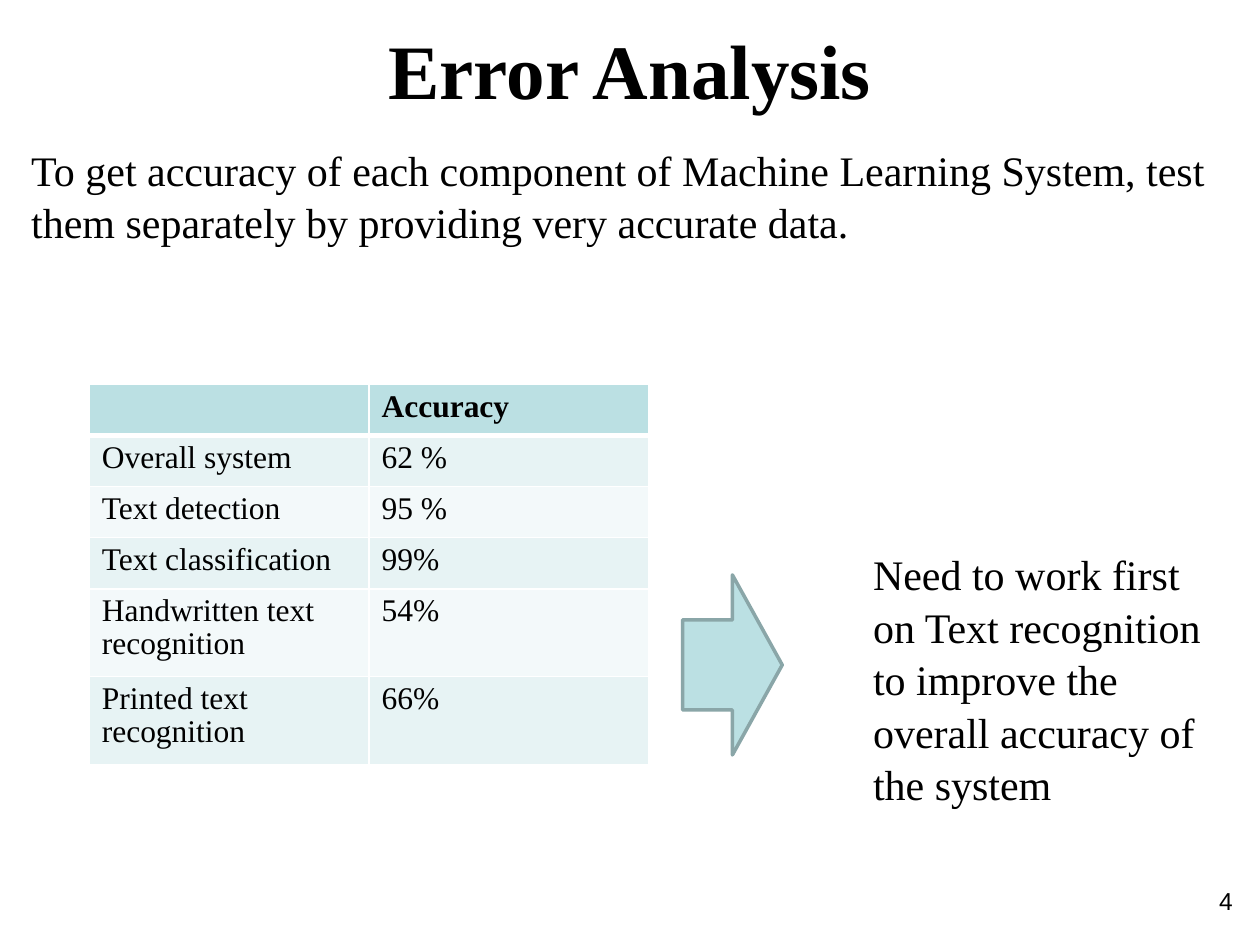
from dataclasses import dataclass

from lxml import etree
from pptx import Presentation
from pptx.dml.color import RGBColor
from pptx.enum.shapes import MSO_SHAPE
from pptx.enum.text import MSO_ANCHOR, MSO_AUTO_SIZE, PP_ALIGN
from pptx.oxml.ns import qn
from pptx.util import Cm, Pt

LEFT, CENTER, RIGHT = PP_ALIGN.LEFT, PP_ALIGN.CENTER, PP_ALIGN.RIGHT
TOP = MSO_ANCHOR.TOP
NO_AUTOFIT = MSO_AUTO_SIZE.NONE
RIGHT_ARROW = MSO_SHAPE.RIGHT_ARROW
TITLE_ONLY_LAYOUT = 5


@dataclass(frozen=True)
class Theme:
    serif: str = "Times New Roman"
    sans: str = "Arial"
    text: str = "000000"
    accent: str = "BBE0E3"
    accent_line: str = "8AA6A8"
    bands: tuple = ("E7F3F4", "F3F9FA")
    border: str = "FFFFFF"
    title_size: int = 44
    body_size: int = 24
    table_size: int = 18
    number_size: int = 14


THEME = Theme()

ACCURACY_ROWS = [
    ("", "Accuracy"),
    ("Overall system", "62 %"),
    ("Text detection", "95 %"),
    ("Text classification", "99%"),
    ("Handwritten text recognition", "54%"),
    ("Printed text recognition", "66%"),
]
ROW_HEIGHTS = [1.03] * 4 + [1.77] * 2


def set_attributes(target, values):
    for name, value in values.items():
        setattr(target, name, value)


def write_text(text_frame, text, size, font=THEME.serif, bold=False, **paragraph_format):
    """Fill a text frame with one formatted paragraph."""
    paragraph = text_frame.paragraphs[0]
    paragraph.text = text
    set_attributes(paragraph, {"alignment": LEFT, **paragraph_format})
    set_attributes(paragraph.font, {"name": font, "size": Pt(size), "bold": bold})
    paragraph.font.color.rgb = RGBColor.from_string(THEME.text)


def place(shape, box):
    set_attributes(shape, dict(zip(("left", "top", "width", "height"), map(Cm, box))))


def add_title(slide, box, text):
    title = slide.shapes.title
    place(title, box)
    set_attributes(title.text_frame, {
        "word_wrap": True, "auto_size": NO_AUTOFIT, "vertical_anchor": TOP})
    write_text(title.text_frame, text, THEME.title_size, bold=True,
               alignment=CENTER, line_spacing=1.04)


def add_text(slide, box, text, size=THEME.body_size, **text_format):
    text_box = slide.shapes.add_textbox(*map(Cm, box))
    set_attributes(text_box.text_frame, {"word_wrap": True, "vertical_anchor": TOP})
    write_text(text_box.text_frame, text, size, **text_format)


def set_borders(cell, widths):
    """Draw the cell's borders; they must come before its fill."""
    properties = cell._tc.get_or_add_tcPr()
    for index, (side, width) in enumerate(widths.items()):
        line = etree.Element(qn(f"a:ln{side}"), w=str(Pt(width)))
        fill = etree.SubElement(line, qn("a:solidFill"))
        etree.SubElement(fill, qn("a:srgbClr"), val=THEME.border)
        properties.insert(index, line)


def add_accuracy_table(slide, box, rows):
    columns = len(rows[0])
    table = slide.shapes.add_table(len(rows), columns, *map(Cm, box)).table
    for column in table.columns:
        column.width = Cm(box[2] / columns)
    for row_index, values in enumerate(rows):
        is_header = row_index == 0
        table.rows[row_index].height = Cm(ROW_HEIGHTS[row_index])
        color = THEME.accent if is_header else THEME.bands[(row_index - 1) % 2]
        for column_index, value in enumerate(values):
            cell = table.cell(row_index, column_index)
            cell.fill.solid()
            cell.fill.fore_color.rgb = RGBColor.from_string(color)
            set_borders(cell, {"L": 1, "R": 1, "T": 3 if row_index == 1 else 1,
                               "B": 3 if is_header else 1})
            write_text(cell.text_frame, value, THEME.table_size, bold=is_header,
                       line_spacing=0.95, space_before=Pt(3.6))


def add_arrow(slide, box):
    arrow = slide.shapes.add_shape(RIGHT_ARROW, *map(Cm, box))
    arrow.shadow.inherit = False
    arrow.fill.solid()
    arrow.fill.fore_color.rgb = RGBColor.from_string(THEME.accent)
    arrow.line.color.rgb = RGBColor.from_string(THEME.accent_line)
    arrow.line.width = Pt(2)


def add_finding(slide, box):
    """Table, arrow and conclusion, placed from the box's corner."""
    left, top, width, height = box
    add_accuracy_table(slide, (left, top, 11.28, height), ACCURACY_ROWS)
    add_arrow(slide, (left + 11.96, top + 3.84, 2.01, 3.63))
    add_text(slide, (left + 15.55, top + 3.15, width - 15.55, 5.38),
             "Need to work first on Text recognition to improve the overall "
             "accuracy of the system", line_spacing=1.04)


def main():
    presentation = Presentation()
    set_attributes(presentation, {"slide_width": Cm(25.4), "slide_height": Cm(19.05)})
    slide = presentation.slides.add_slide(presentation.slide_layouts[TITLE_ONLY_LAYOUT])

    add_title(slide, (0, 0.25, 25.4, 2.13), "Error Analysis")
    add_text(slide, (0.38, 2.74, 25.4, 2.31),
             "To get accuracy of each component of Machine Learning System, "
             "test them separately by providing very accurate data.", line_spacing=1.04)
    add_finding(slide, (1.8, 7.75, 22.76, 7.66))
    # Slide number
    add_text(slide, (19.18, 17.73, 5.92, 1.32), "4", THEME.number_size,
             font=THEME.sans, alignment=RIGHT)

    presentation.save("out.pptx")


if __name__ == "__main__":
    main()
